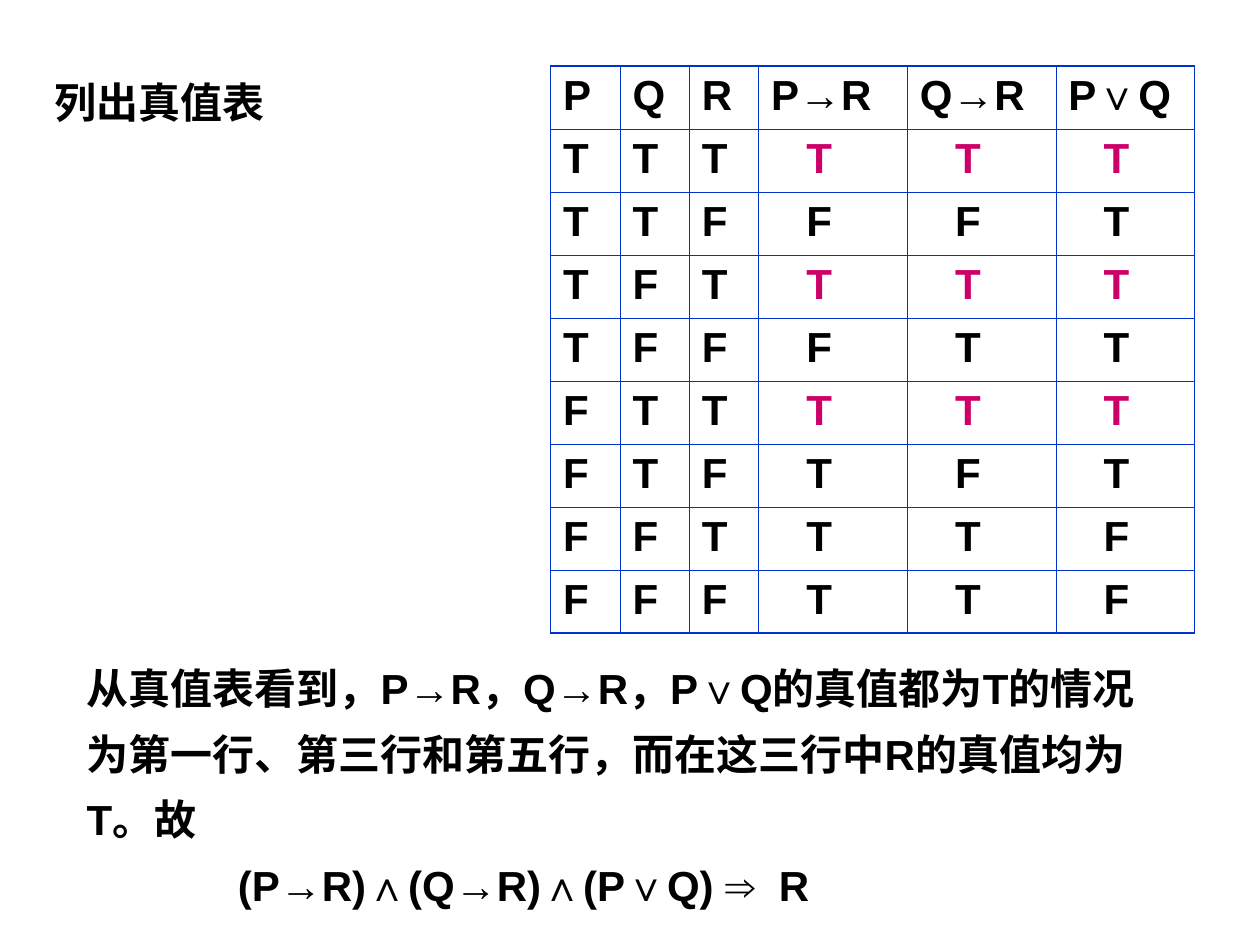
"""Build a slide that proves an inference with a truth table."""
import dataclasses
import itertools
import typing

import lxml.etree
import pptx
import pptx.dml.color
import pptx.enum.text
import pptx.oxml.ns
import pptx.util

BLACK = pptx.dml.color.RGBColor(0x00, 0x00, 0x00)
PINK = pptx.dml.color.RGBColor(0xCC, 0x00, 0x66)
BLUE = pptx.dml.color.RGBColor(0x00, 0x33, 0xCC)
FONT = {"name": "Arial", "size": pptx.util.Pt(24), "bold": True}
WIDE, HIGH = pptx.util.Inches(10), pptx.util.Inches(7.5)
HEADS = ("P", "Q", "R", "P→R", "Q→R", "P∨Q")
COLS = (0.55, 0.55, 0.55, 1.18, 1.18, 1.1)
ROW = 0.5
THIN, THICK = 0.45, 1.08


@dataclasses.dataclass(frozen=True)
class Area:
    """Hold a place as shares of the slide's width and height."""
    left: float
    top: float
    width: float
    height: float

    def place(self) -> tuple[int, int, int, int]:
        """Return left, top, width and height in slide units."""
        return (int(self.left * WIDE), int(self.top * HIGH),
                int(self.width * WIDE), int(self.height * HIGH))


@dataclasses.dataclass(frozen=True)
class Entry:
    """Describe the text of one table cell."""
    text: str
    color: pptx.dml.color.RGBColor = BLACK
    inset: float = 0.1


HEAD = Area(0.033, 0.08, 0.317, 0.105)
GRID = Area(0.437, 0.07, 0.512, 0.6)
PROOF = Area(0.059, 0.679, 0.874, 0.291)


def write(para: typing.Any, text: str, color: pptx.dml.color.RGBColor = BLACK) -> None:
    """Put text in the shared font into a paragraph."""
    run = para.add_run()
    run.text = text
    for key, value in FONT.items():
        setattr(run.font, key, value)
    run.font.color.rgb = color


def indent(para: typing.Any, left: float, first: float = 0) -> None:
    """Set the left and first-line indents of a paragraph in inches."""
    props = para._p.get_or_add_pPr()
    props.set("marL", str(pptx.util.Inches(left)))
    props.set("indent", str(pptx.util.Inches(first)))


def border(cell: typing.Any, sides: dict[str, float]) -> None:
    """Draw the sides of a cell with line widths in points."""
    props = cell._tc.get_or_add_tcPr()
    for spot, (side, width) in enumerate(sides.items()):
        line = lxml.etree.Element(pptx.oxml.ns.qn(f"a:ln{side}"), w=str(pptx.util.Pt(width)))
        fill = lxml.etree.SubElement(line, pptx.oxml.ns.qn("a:solidFill"))
        lxml.etree.SubElement(fill, pptx.oxml.ns.qn("a:srgbClr"), val=str(BLUE))
        props.insert(spot, line)


def truths() -> list[list[Entry]]:
    """Work out the rows of the truth table."""
    rows = [[Entry(head) for head in HEADS]]
    for p, q, r in itertools.product((True, False), repeat=3):
        claims = (not p or r, not q or r, p or q)
        color = PINK if all(claims) else BLACK
        rows.append([Entry("FT"[value]) for value in (p, q, r)]
                    + [Entry("FT"[value], color, 0.38) for value in claims])
    return rows


def add_grid(slide: typing.Any, rows: list[list[Entry]]) -> None:
    """Draw the truth table."""
    table = slide.shapes.add_table(len(rows), len(COLS), *GRID.place()).table
    table.first_row = table.horz_banding = False
    for col, width in zip(table.columns, COLS):
        col.width = pptx.util.Inches(width)
    for i, row in enumerate(rows):
        table.rows[i].height = pptx.util.Inches(ROW)
        for j, entry in enumerate(row):
            cell = table.cell(i, j)
            cell.margin_left = pptx.util.Inches(entry.inset)
            cell.fill.background()
            write(cell.text_frame.paragraphs[0], entry.text, entry.color)
            border(cell, {"L": THIN if j else THICK,
                          "R": THICK if j == len(COLS) - 1 else THIN,
                          "T": THIN if i else THICK,
                          "B": THICK if i == len(rows) - 1 else THIN})


def add_head(slide: typing.Any) -> None:
    """Fill the body placeholder with the heading."""
    title = slide.shapes.title.element
    title.getparent().remove(title)
    body = slide.placeholders[1]
    body.left, body.top, body.width, body.height = HEAD.place()
    body.text_frame.auto_size = pptx.enum.text.MSO_AUTO_SIZE.NONE
    para = body.text_frame.paragraphs[0]
    indent(para, 0.38, -0.38)
    lxml.etree.SubElement(para._p.get_or_add_pPr(), pptx.oxml.ns.qn("a:buNone"))
    para.line_spacing = 0.9
    para.space_before = pptx.util.Pt(0)
    write(para, "列出真值表")


def add_proof(slide: typing.Any) -> None:
    """Write the argument and the formula below the table."""
    frame = slide.shapes.add_textbox(*PROOF.place()).text_frame
    frame.word_wrap = True
    frame.auto_size = pptx.enum.text.MSO_AUTO_SIZE.SHAPE_TO_FIT_TEXT
    reason, result = frame.paragraphs[0], frame.add_paragraph()
    write(reason, "从真值表看到，P→R，Q→R，P∨Q的真值都为T的情况为第一行、"
                  "第三行和第五行，而在这三行中R的真值均为T。故")
    write(result, "(P→R)∧(Q→R)∧(P∨Q) ⇒  R")
    indent(result, 1.2)
    for para in (reason, result):
        para.line_spacing = 1.3


def main() -> None:
    """Build and save the deck."""
    deck = pptx.Presentation()
    deck.slide_width, deck.slide_height = WIDE, HIGH
    slide = deck.slides.add_slide(deck.slide_layouts[1])
    add_head(slide)
    add_grid(slide, truths())
    add_proof(slide)
    deck.save("out.pptx")


if __name__ == "__main__":
    main()
